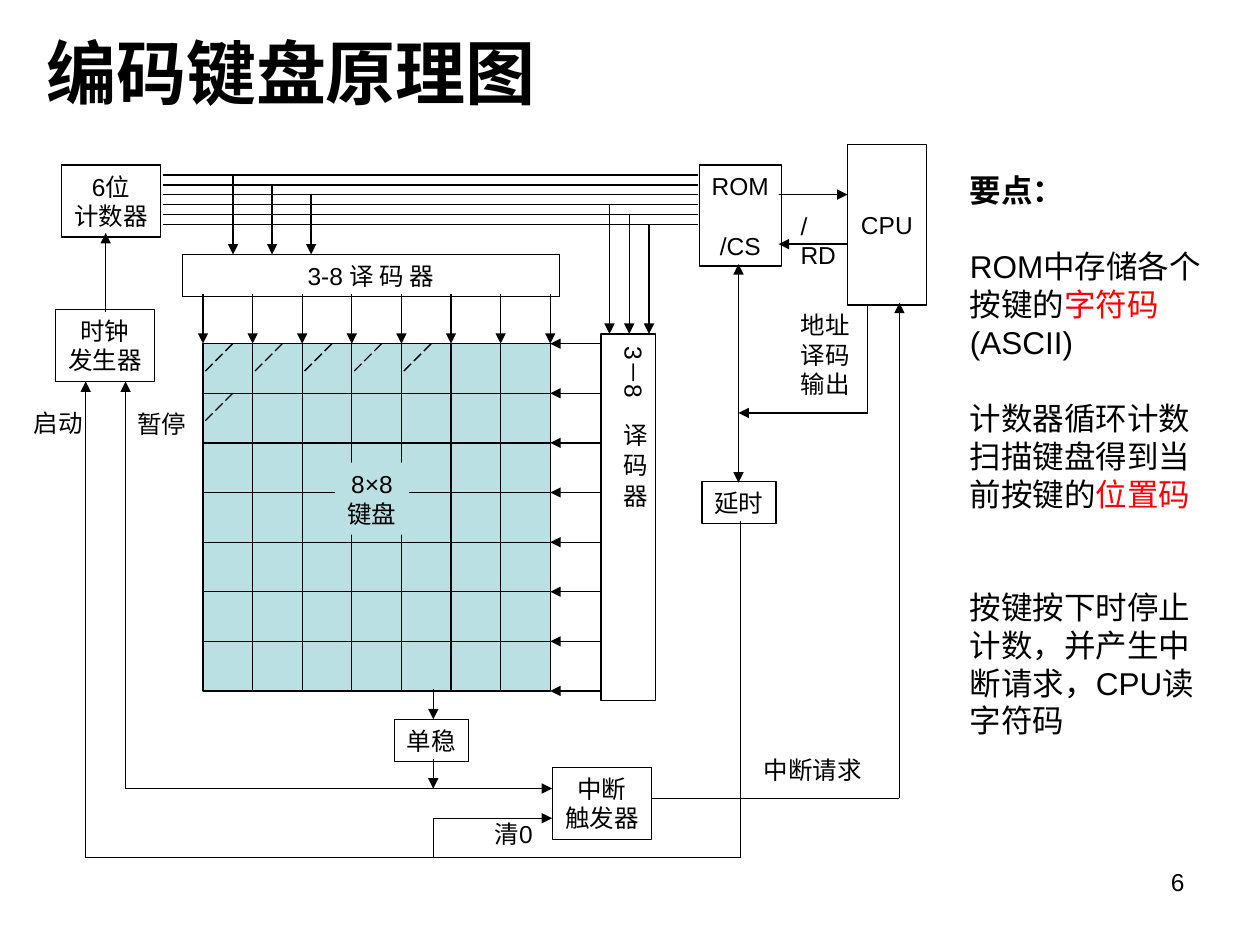
"""Build a slide with the block diagram of an encoded keyboard."""
from lxml import etree
from pptx import Presentation
from pptx.dml.color import RGBColor
from pptx.enum.dml import MSO_LINE
from pptx.enum.shapes import MSO_CONNECTOR, MSO_SHAPE
from pptx.enum.text import MSO_ANCHOR, PP_ALIGN
from pptx.oxml.ns import qn
from pptx.util import Pt

RECTANGLE = MSO_SHAPE.RECTANGLE
STRAIGHT = MSO_CONNECTOR.STRAIGHT
LONG_DASH = MSO_LINE.LONG_DASH
MIDDLE = MSO_ANCHOR.MIDDLE
LEFT, CENTER, RIGHT = PP_ALIGN.LEFT, PP_ALIGN.CENTER, PP_ALIGN.RIGHT
COLORS = {"ink": "000000", "accent": "FF0000", "keypad": "BBE0E3"}


def write_text(shape, paragraphs, size=14, align=LEFT, wrap=False, bold=False):
    frame = shape.text_frame
    frame.word_wrap = wrap
    for index, runs in enumerate(paragraphs):
        paragraph = frame.paragraphs[0] if index == 0 else frame.add_paragraph()
        paragraph.alignment = align
        for text, color in runs:
            run = paragraph.add_run()
            run.text = text
            run.font.name = "Arial"
            run.font.size = Pt(size)
            run.font.bold = bold
            run.font.color.rgb = RGBColor.from_string(COLORS[color])


def add_line(x1, y1, x2, y2, arrows="", dashed=False):
    connector = slide.shapes.add_connector(STRAIGHT, Pt(x1), Pt(y1), Pt(x2), Pt(y2))
    connector.line.width = Pt(0.75)
    connector.line.color.rgb = RGBColor.from_string(COLORS["ink"])
    if dashed:
        connector.line.dash_style = LONG_DASH
    properties = connector.element.spPr
    for end in arrows.split():
        etree.SubElement(properties.find(qn("a:ln")), qn(f"a:{end}End"), type="triangle")
    etree.SubElement(properties, qn("a:effectLst"))


presentation = Presentation()
presentation.slide_width = Pt(720)
presentation.slide_height = Pt(540)
slide = presentation.slides.add_slide(presentation.slide_layouts[6])

title = slide.shapes.add_textbox(Pt(19.4), Pt(20.2), Pt(648), Pt(41))
title.text_frame.vertical_anchor = MIDDLE
write_text(title, [[("编码键盘原理图", "ink")]], size=40, wrap=True, bold=True)

key_points = [
    [("要点：", "ink")],
    [("ROM中存储各个", "ink")],
    [("按键的", "ink"), ("字符码", "accent"), ("(ASCII)", "ink")],
    [("计数器循环计数", "ink")],
    [("扫描键盘得到当", "ink")],
    [("前按键的", "ink"), ("位置码", "accent")],
    [("按键按下时停止", "ink")],
    [("计数，并产生中", "ink")],
    [("断请求，CPU读", "ink")],
    [("字符码", "ink")],
]
notes_box = slide.shapes.add_textbox(Pt(547.2), Pt(94.3), Pt(146.9), Pt(396))
write_text(notes_box, key_points, size=18, wrap=True)
notes_paragraphs = notes_box.text_frame.paragraphs
notes_paragraphs[0].runs[0].font.bold = True
for index, gap in ((1, 22), (3, 22), (6, 43)):
    notes_paragraphs[index].space_before = Pt(gap)

GRID_LEFT, GRID_TOP, CELL, CELLS = 116, 196.4, 28.35, 7
GRID_SIZE = CELL * CELLS
GRID_RIGHT, GRID_BOTTOM = GRID_LEFT + GRID_SIZE, GRID_TOP + GRID_SIZE
keypad = slide.shapes.add_shape(
    RECTANGLE, Pt(GRID_LEFT), Pt(GRID_TOP), Pt(GRID_SIZE), Pt(GRID_SIZE))
keypad.shadow.inherit = False
keypad.fill.solid()
keypad.fill.fore_color.rgb = RGBColor.from_string(COLORS["keypad"])
keypad.line.color.rgb = RGBColor.from_string(COLORS["ink"])
keypad.line.width = Pt(0.75)

for index in range(CELLS + 1):
    x, y = GRID_LEFT + index * CELL, GRID_TOP + index * CELL
    if 0 < index < CELLS:
        add_line(x, GRID_TOP, x, GRID_BOTTOM)
        add_line(GRID_LEFT, y, GRID_RIGHT, y)
    add_line(x, 168, x, GRID_TOP, "tail")
    add_line(342.7, y, GRID_RIGHT, y, "tail")

for column, row in ((0, 0), (1, 0), (2, 0), (3, 0), (4, 0), (0, 1)):
    x, y = GRID_LEFT + column * CELL, GRID_TOP + row * CELL
    add_line(x + 17, y, x, y + 17, dashed=True)

tap_columns = (133.2, 155.5, 177.8, 348.3, 359.6, 370.9)
for index, x in enumerate(tap_columns):
    y = 100 + 5.65 * index
    add_line(93, y, 399, y)
    add_line(x, y, x, 145.4 if index < 3 else 190.8, "tail")

blocks = [
    (["6位", "计数器"], 35.2, 94.3, 56.4, 41.2),
    (["时钟", "发生器"], 31.8, 176.7, 56.4, 41.2),
    (["ROM", "/CS"], 399.6, 94.3, 46.9, 57.8),
    (["CPU"], 484.3, 82.8, 45, 91.5),
    (["3-8 译 码 器"], 104.3, 145.4, 215.6, 24.2),
    (["8×8", "键盘"], 191.4, 264.4, 42.4, 41.2),
    (["3－8　译 码 器"], 343.4, 190.8, 31.2, 209.5),
    (["延时"], 401.1, 275, 42.4, 24.2),
    (["单稳"], 225.3, 411, 42.4, 24.2),
    (["中断", "触发器"], 315.8, 438.5, 56.4, 41.2),
]
block_shapes = {}
for lines, left, top, width, height in blocks:
    block = slide.shapes.add_shape(RECTANGLE, Pt(left), Pt(top), Pt(width), Pt(height))
    block.shadow.inherit = False
    block.fill.background()
    block.line.color.rgb = RGBColor.from_string(COLORS["ink"])
    block.line.width = Pt(0.75)
    block.text_frame.vertical_anchor = MIDDLE
    write_text(block, [[(line, "ink")] for line in lines], align=CENTER)
    block_shapes[lines[0]] = block

block_shapes["ROM"].text_frame.paragraphs[1].space_before = Pt(17)
keypad_label = block_shapes["8×8"]
keypad_label.fill.solid()
keypad_label.fill.fore_color.rgb = RGBColor.from_string(COLORS["keypad"])
keypad_label.line.fill.background()
row_decoder = block_shapes["3－8　译 码 器"].text_frame
row_decoder.word_wrap = True
row_decoder.vertical_anchor = MSO_ANCHOR.TOP
row_decoder.margin_left = row_decoder.margin_right = Pt(3.6)
row_decoder.margin_top = row_decoder.margin_bottom = Pt(7.2)
row_decoder._txBody.bodyPr.set("vert", "eaVert")

wires = [
    (445, 111.2, 484.3, 111.2, "tail"),
    (484.3, 139.5, 445, 139.5, "tail"),
    (495.8, 173.7, 495.8, 236, ""),
    (495.8, 236, 422, 236, "tail"),
    (422, 151, 422, 275.8, "head tail"),
    (372.2, 456.2, 514, 456.2, ""),
    (514, 456.2, 514, 173, "tail"),
    (423.3, 297.5, 423.3, 490.2, ""),
    (423.3, 490.2, 49, 490.2, ""),
    (49, 490.2, 49, 218, "tail"),
    (247.6, 394, 247.6, 411, "tail"),
    (315.5, 450.6, 71.8, 450.6, "head"),
    (71.8, 218, 71.8, 450.6, "head"),
    (247.6, 433.6, 247.6, 450.6, "tail"),
    (247.6, 467.6, 247.6, 490.2, ""),
    (247.6, 467.6, 315.5, 467.6, "tail"),
    (60.4, 178.4, 60.4, 133.2, "tail"),
]
for wire in wires:
    add_line(*wire)

labels = [
    (["/RD"], 450.4, 117, 38.2, 24.2),
    (["地址", "译码", "输出"], 450.4, 173.7, 42.4, 57.8),
    (["中断请求"], 429.3, 427.8, 70.6, 24.2),
    (["清0"], 275.5, 464.6, 39.6, 24.2),
    (["暂停"], 71.3, 230.2, 42.4, 24.2),
    (["启动"], 12.2, 229.7, 42.4, 24.2),
]
for lines, left, top, width, height in labels:
    label = slide.shapes.add_textbox(Pt(left), Pt(top), Pt(width), Pt(height))
    write_text(label, [[(line, "ink")] for line in lines])

page_number = slide.shapes.add_textbox(Pt(516.2), Pt(491.8), Pt(167.8), Pt(37.4))
write_text(page_number, [[("6", "ink")]], align=RIGHT, wrap=True)

presentation.save("out.pptx")
